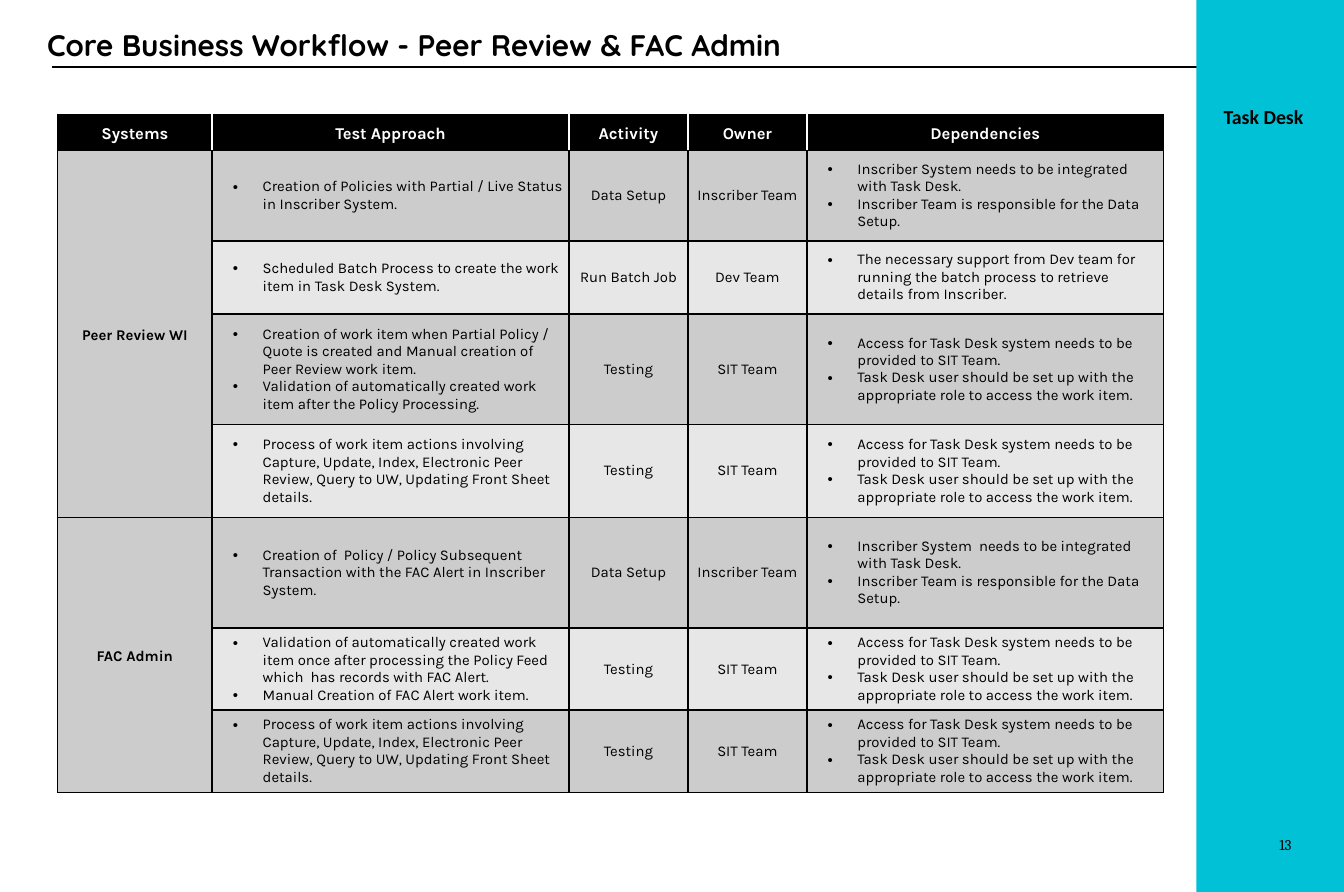
"""Build the business workflow slide with its test approach table."""
from dataclasses import dataclass

from lxml import etree
from pptx import Presentation
from pptx.dml.color import RGBColor
from pptx.enum.shapes import MSO_CONNECTOR, MSO_SHAPE
from pptx.enum.text import MSO_ANCHOR, MSO_AUTO_SIZE, PP_ALIGN
from pptx.oxml.ns import qn
from pptx.util import Pt

LEFT, CENTER, RIGHT = PP_ALIGN.LEFT, PP_ALIGN.CENTER, PP_ALIGN.RIGHT
MIDDLE, TOP = MSO_ANCHOR.MIDDLE, MSO_ANCHOR.TOP
RECTANGLE, STRAIGHT = MSO_SHAPE.RECTANGLE, MSO_CONNECTOR.STRAIGHT
NO_AUTOFIT = MSO_AUTO_SIZE.NONE
TITLE_ONLY = 5


@dataclass(frozen=True)
class Theme:
    """Hold the colours, fonts and type sizes."""
    black: str = "000000"
    white: str = "FFFFFF"
    accent: str = "01C1D6"
    bands: tuple = ("CCCCCC", "E7E7E7")
    title_font: str = "Quicksand"
    table_font: str = "Karla"
    label_font: str = "Calibri"
    number_font: str = "Cambria"
    bullet_font: str = "Arial"
    title_size: float = 18
    label_size: float = 12
    header_size: float = 10
    body_size: float = 9


THEME = Theme()
COLUMN_WIDTHS = (93.6, 216, 72, 72, 216)
ROW_HEIGHTS = (21.6, 54.7, 44.3, 67, 56.2, 67, 49.7, 49.7)
HEADERS = ("Systems", "Test Approach", "Activity", "Owner", "Dependencies")
DATA_SETUP_DUTY = "Inscriber Team is responsible for the Data Setup."
TASK_DESK_ACCESS = (
    "Access for Task Desk system needs to be provided to SIT Team.",
    "Task Desk user should be set up with the appropriate role to access the work item.",
)
WORK_ITEM_ACTIONS = (
    "Process of work item actions involving Capture, Update, Index, Electronic Peer "
    "Review, Query to UW, Updating Front Sheet details.",
)
SYSTEMS = {
    "Peer Review WI": (
        (("Creation of Policies with Partial / Live Status in Inscriber System.",),
         "Data Setup", "Inscriber Team",
         ("Inscriber System needs to be integrated with Task Desk.", DATA_SETUP_DUTY)),
        (("Scheduled Batch Process to create the work item in Task Desk System.",),
         "Run Batch Job", "Dev Team",
         ("The necessary support from Dev team for running the batch process to retrieve "
          "details from Inscriber.",)),
        (("Creation of work item when Partial Policy /  Quote is created and Manual "
          "creation of Peer Review work item.",
          "Validation of automatically created work item after the Policy Processing."),
         "Testing", "SIT Team", TASK_DESK_ACCESS),
        (WORK_ITEM_ACTIONS, "Testing", "SIT Team", TASK_DESK_ACCESS),
    ),
    "FAC Admin": (
        (("Creation of  Policy / Policy Subsequent Transaction with the FAC Alert in "
          "Inscriber System.",),
         "Data Setup", "Inscriber Team",
         ("Inscriber System  needs to be integrated with Task Desk.", DATA_SETUP_DUTY)),
        (("Validation of automatically created work item once after processing the Policy "
          "Feed which  has records with FAC Alert.",
          "Manual Creation of FAC Alert work item."),
         "Testing", "SIT Team", TASK_DESK_ACCESS),
        (WORK_ITEM_ACTIONS, "Testing", "SIT Team", TASK_DESK_ACCESS),
    ),
}


def color(value):
    """Turn a hexadecimal string into a colour."""
    return RGBColor.from_string(value)


def format_paragraph(paragraph, font_name, size, align=LEFT, bold=False, ink=THEME.black):
    """Align a paragraph and format its runs."""
    paragraph.alignment = align
    for run in paragraph.runs:
        run.font.name = font_name
        run.font.size = Pt(size)
        run.font.bold = bold
        run.font.color.rgb = color(ink)


def fill_frame(shape, text, anchor, inset=None, **style):
    """Put one formatted paragraph in a shape."""
    frame = shape.text_frame
    frame.text = text
    frame.word_wrap = True
    frame.auto_size = NO_AUTOFIT
    frame.vertical_anchor = anchor
    if inset is not None:
        frame.margin_left = frame.margin_right = Pt(inset)
        frame.margin_top = frame.margin_bottom = Pt(inset)
    format_paragraph(frame.paragraphs[0], **style)


def add_title(slide, text):
    """Move and format the title placeholder."""
    title = slide.shapes.title
    title.left, title.top, title.width, title.height = Pt(21.3), Pt(12), Pt(785), Pt(30.2)
    fill_frame(title, text, MIDDLE, font_name=THEME.title_font,
               size=THEME.title_size, bold=True)


def add_rule(slide, left, right, top):
    """Draw the horizontal line under the title."""
    rule = slide.shapes.add_connector(STRAIGHT, Pt(left), Pt(top), Pt(right), Pt(top))
    rule.line.color.rgb = color(THEME.black)
    rule.line.width = Pt(1)
    etree.SubElement(rule._element.spPr, qn("a:effectLst"))


def add_panel(slide, left, top, width, height):
    """Add a plain accent rectangle."""
    panel = slide.shapes.add_shape(RECTANGLE, Pt(left), Pt(top), Pt(width), Pt(height))
    panel.shadow.inherit = False
    panel.fill.solid()
    panel.fill.fore_color.rgb = color(THEME.accent)
    panel.line.fill.background()
    return panel


def add_bullet(paragraph):
    """Give a paragraph a hanging bullet."""
    properties = paragraph._p.get_or_add_pPr()
    properties.set("marL", str(Pt(27)))
    properties.set("indent", str(Pt(-18)))
    etree.SubElement(properties, qn("a:buFont"), typeface=THEME.bullet_font)
    etree.SubElement(properties, qn("a:buChar"), char="•")


def add_border(cell, side, value):
    """Draw one side of a cell border."""
    properties = cell._tc.get_or_add_tcPr()
    border = etree.SubElement(properties, qn(f"a:ln{side}"), w=str(Pt(1)))
    solid = etree.SubElement(border, qn("a:solidFill"))
    etree.SubElement(solid, qn("a:srgbClr"), val=value)


def style_cell(cell, fill, left=THEME.black, right=THEME.black):
    """Set the borders, fill, insets and anchor of a cell."""
    for side, value in zip("LRTB", (left, right, THEME.black, THEME.black)):
        add_border(cell, side, value)
    cell.fill.solid()
    cell.fill.fore_color.rgb = color(fill)
    cell.margin_left = cell.margin_right = Pt(3.6)
    cell.margin_top = cell.margin_bottom = Pt(3.6)
    cell.vertical_anchor = MIDDLE


def write_heading(cell, text, size, ink):
    """Write a bold centred heading in a cell."""
    cell.text_frame.text = text
    paragraph = cell.text_frame.paragraphs[0]
    paragraph.line_spacing = 1.15
    format_paragraph(paragraph, THEME.table_font, size, CENTER, True, ink)


def write_body(cell, content):
    """Write a centred text, or a tuple of bullets, in a cell."""
    bulleted = isinstance(content, tuple)
    cell.text_frame.text = "\n".join(content) if bulleted else content
    for paragraph in cell.text_frame.paragraphs:
        if bulleted:
            add_bullet(paragraph)
        format_paragraph(paragraph, THEME.table_font, THEME.body_size,
                         LEFT if bulleted else CENTER)


def add_workflow_table(slide, left, top):
    """Add the table of systems and their test steps."""
    frame = slide.shapes.add_table(len(ROW_HEIGHTS), len(COLUMN_WIDTHS), Pt(left), Pt(top),
                                   Pt(sum(COLUMN_WIDTHS)), Pt(sum(ROW_HEIGHTS)))
    table = frame.table
    for column, width in zip(table.columns, COLUMN_WIDTHS):
        column.width = Pt(width)
    for row, height in zip(table.rows, ROW_HEIGHTS):
        row.height = Pt(height)
    last = len(HEADERS) - 1
    for index, header in enumerate(HEADERS):
        cell = table.cell(0, index)
        style_cell(cell, THEME.black, THEME.white if index else THEME.black,
                   THEME.white if index < last else THEME.black)
        write_heading(cell, header, THEME.header_size, THEME.white)
    first = 1
    for system, steps in SYSTEMS.items():
        for offset, step in enumerate(steps):
            style_cell(table.cell(first + offset, 0), THEME.bands[0])
            for index, content in enumerate(step, 1):
                cell = table.cell(first + offset, index)
                style_cell(cell, THEME.bands[offset % 2])
                write_body(cell, content)
        write_heading(table.cell(first, 0), system, THEME.body_size, THEME.black)
        table.cell(first, 0).merge(table.cell(first + len(steps) - 1, 0))
        first += len(steps)


def main():
    """Build and save the slide."""
    presentation = Presentation()
    presentation.slide_width, presentation.slide_height = Pt(813.6), Pt(540)
    slide = presentation.slides.add_slide(presentation.slide_layouts[TITLE_ONLY])
    add_title(slide, "Core Business Workflow - Peer Review & FAC Admin")
    add_rule(slide, 31.7, 781.9, 40.7)
    add_panel(slide, 724.3, 0, 89.3, 540)
    label = slide.shapes.add_textbox(Pt(733.7), Pt(59.8), Pt(72), Pt(25.9))
    fill_frame(label, "Task Desk", TOP, font_name=THEME.label_font,
               size=THEME.label_size, bold=True)
    number = add_panel(slide, 738.7, 504, 43.2, 14.4)
    fill_frame(number, "13", MIDDLE, inset=0, font_name=THEME.number_font,
               size=THEME.body_size, align=RIGHT)
    add_workflow_table(slide, 34.8, 69.5)
    presentation.save("out.pptx")


if __name__ == "__main__":
    main()
